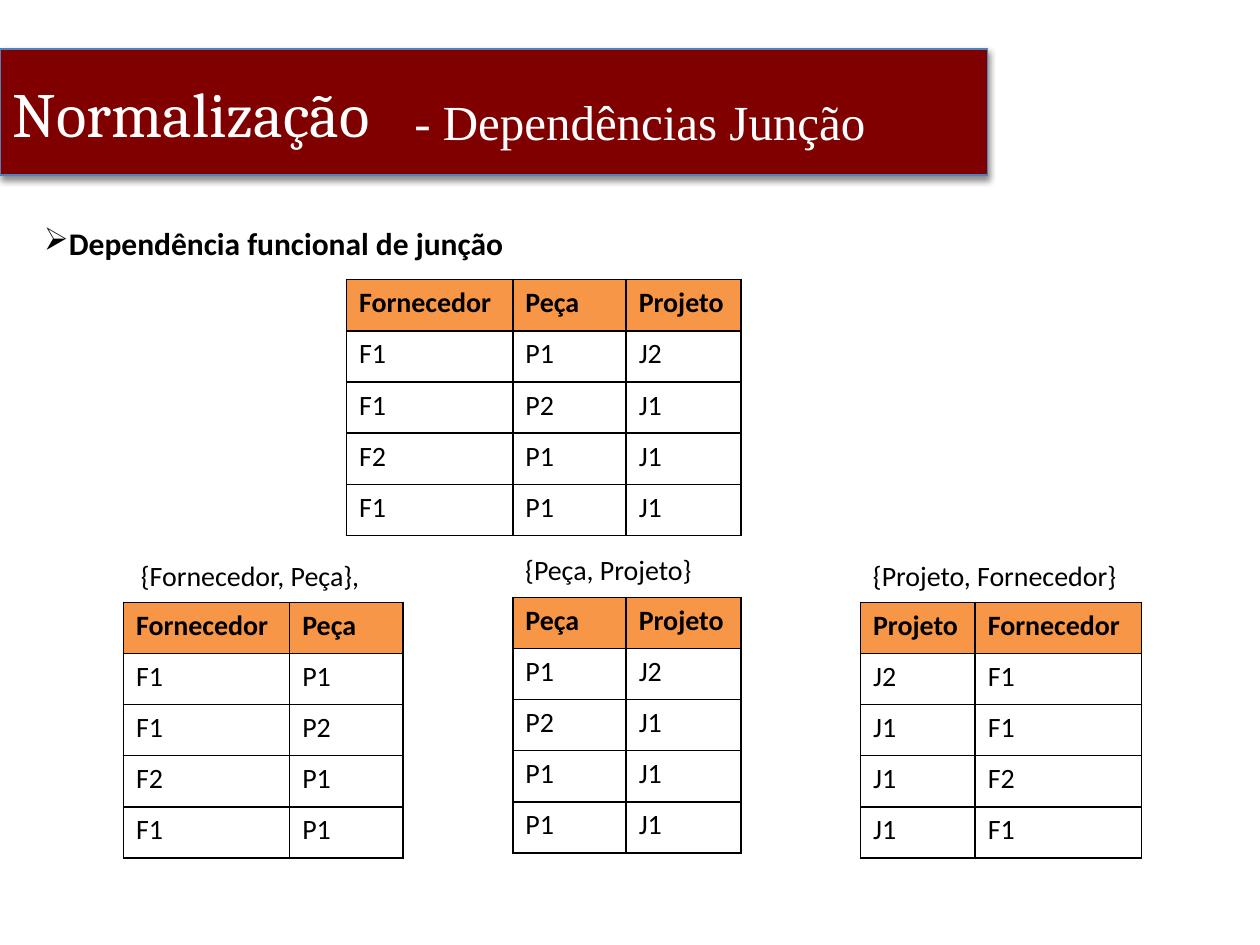
from lxml import etree
from pptx import Presentation
from pptx import util as u
from pptx.dml.color import RGBColor
from pptx.enum import shapes, text
from pptx.oxml import parse_xml
from pptx.oxml.ns import nsdecls, qn

MAROON = RGBColor(0x80, 0x00, 0x00)
BLUE = RGBColor(0x4F, 0x81, 0xBD)
ORANGE = RGBColor(0xF7, 0x96, 0x46)
WHITE = RGBColor(0xFF, 0xFF, 0xFF)
BLACK = RGBColor(0x00, 0x00, 0x00)

HEADERS = ("Fornecedor", "Peça", "Projeto")
ROWS = (
    ("F1", "P1", "J2"),
    ("F1", "P2", "J1"),
    ("F2", "P1", "J1"),
    ("F1", "P1", "J1"),
)
COLUMN_WIDTHS = (1.32, 0.9, 0.91)
ROW_HEIGHT = 0.406


def write(tf, content, size=16, font="Calibri", color=BLACK, bold=False,
          spacing=None, bullet=None):
    p = tf.paragraphs[0]
    p.alignment = text.PP_ALIGN.LEFT
    if spacing:
        p.line_spacing = spacing
    if bullet:
        etree.SubElement(p._p.get_or_add_pPr(), qn("a:buChar"), char=bullet)
    r = p.add_run()
    r.text = content
    r.font.size = u.Pt(size)
    r.font.name = font
    r.font.bold = bold
    r.font.color.rgb = color


class SlideBuilder:
    border_width = u.Pt(1)

    def __init__(self, s):
        self.s = s

    def banner(self, content, x, y, w, h):
        sp = self.s.shapes.add_shape(
            shapes.MSO_SHAPE.RECTANGLE, *map(u.Inches, (x, y, w, h)))
        sp.fill.solid()
        sp.fill.fore_color.rgb = MAROON
        sp.line.color.rgb = BLUE
        sp.line.width = u.Pt(0.75)
        sp.shadow.inherit = False
        effects = sp._element.spPr.find(qn("a:effectLst"))
        effects.append(parse_xml(
            f'<a:outerShdw {nsdecls("a")} blurRad="{u.Pt(4)}" dist="{u.Pt(2)}" '
            'dir="5400000" rotWithShape="0"><a:srgbClr val="000000">'
            '<a:alpha val="45000"/></a:srgbClr></a:outerShdw>'))
        sp.text_frame.vertical_anchor = text.MSO_ANCHOR.MIDDLE
        write(sp.text_frame, content, size=36, font="Cambria", color=WHITE)

    def label(self, content, x, y, w, h, wrap=False, **style):
        sp = self.s.shapes.add_textbox(*map(u.Inches, (x, y, w, h)))
        tf = sp.text_frame
        tf.word_wrap = wrap
        if not wrap:
            tf.auto_size = text.MSO_AUTO_SIZE.SHAPE_TO_FIT_TEXT
        write(tf, content, **style)

    def borders(self, cell):
        tcPr = cell._tc.get_or_add_tcPr()
        for index, side in enumerate(("lnL", "lnR", "lnT", "lnB")):
            tcPr.insert(index, parse_xml(
                f'<a:{side} {nsdecls("a")} w="{self.border_width}"><a:solidFill>'
                f'<a:srgbClr val="{BLACK}"/></a:solidFill></a:{side}>'))

    def projection(self, x, y, columns):
        records = [[row[c] for c in columns] for row in (HEADERS, *ROWS)]
        widths = [COLUMN_WIDTHS[c] for c in columns]
        size = (sum(widths), ROW_HEIGHT * len(records))
        table = self.s.shapes.add_table(
            len(records), len(columns), *map(u.Inches, (x, y, *size))).table
        for column, width in zip(table.columns, widths):
            column.width = u.Inches(width)
        for i, record in enumerate(records):
            table.rows[i].height = u.Inches(ROW_HEIGHT)
            for j, value in enumerate(record):
                cell = table.cell(i, j)
                cell.fill.solid()
                cell.fill.fore_color.rgb = WHITE if i else ORANGE
                self.borders(cell)
                write(cell.text_frame, value, bold=i == 0)


def main():
    prs = Presentation()
    prs.slide_width, prs.slide_height = u.Inches(10), u.Inches(7.5)
    slide = SlideBuilder(prs.slides.add_slide(prs.slide_layouts[6]))

    slide.banner("Normalização", 0, 0.39, 7.84, 1)
    slide.label("- Dependências Junção", 3.19, 0.68, 4.39, 0.66, wrap=True,
                size=28, font="Times New Roman", color=WHITE)
    slide.projection(2.75, 2.22, (0, 1, 2))
    slide.label("Dependência funcional de junção", 0.25, 1.58, 3.88, 0.51,
                size=18, bold=True, spacing=1.5, bullet="➢")

    slide.projection(0.98, 4.78, (0, 1))
    slide.projection(4.07, 4.74, (1, 2))
    slide.label("{Fornecedor, Peça},", 1.02, 4.25, 2.01, 0.46, spacing=1.5)
    slide.label("{Peça, Projeto}", 4.07, 4.34, 1.59, 0.37)
    slide.label("{Projeto, Fornecedor}", 6.83, 4.25, 2.21, 0.46, spacing=1.5)
    slide.projection(6.83, 4.78, (2, 0))

    prs.save("out.pptx")


if __name__ == "__main__":
    main()
